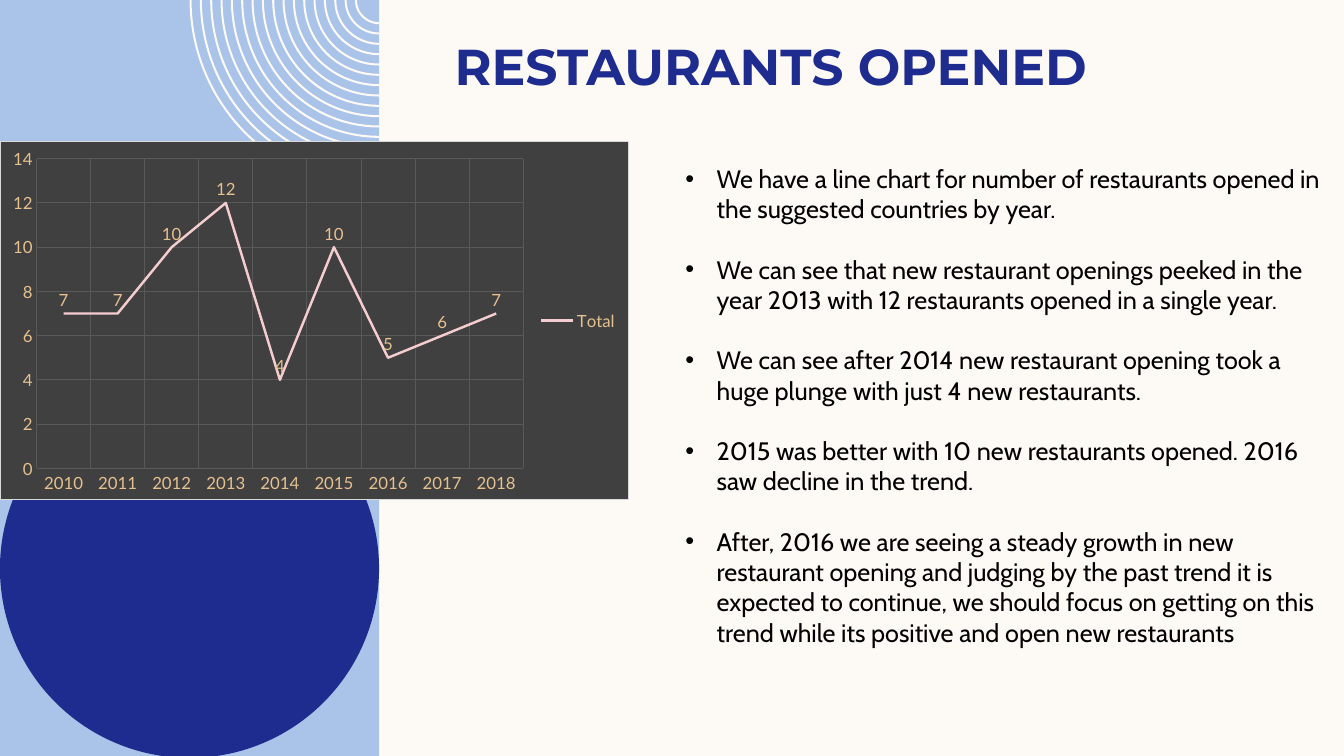
from lxml import etree
from pptx import Presentation
from pptx.chart.data import CategoryChartData
from pptx.dml.color import RGBColor
from pptx.enum.chart import XL_CHART_TYPE, XL_LABEL_POSITION, XL_LEGEND_POSITION, XL_MARKER_STYLE, XL_TICK_MARK
from pptx.enum.shapes import MSO_SHAPE
from pptx.enum.text import MSO_ANCHOR
from pptx.oxml import parse_xml
from pptx.oxml.ns import nsdecls, qn
from pptx.util import Inches, Pt

CREAM = RGBColor(0xFD, 0xFA, 0xF6)
SKY = RGBColor(0xAA, 0xC3, 0xE8)
NAVY = RGBColor(0x1F, 0x2C, 0x8F)
BLACK = RGBColor(0, 0, 0)
CHARCOAL = RGBColor(0x40, 0x40, 0x40)
GRID_GREY = RGBColor(0x59, 0x59, 0x59)
BORDER_GREY = RGBColor(0xD9, 0xD9, 0xD9)
SAND = RGBColor(0xE6, 0xC1, 0x90)
PINK = RGBColor(0xF5, 0xCD, 0xCE)

TITLE_FONT = {"name": "Montserrat", "size": Pt(36), "bold": True}
BODY_FONT = {"name": "Cabin", "size": Pt(18)}
CHART_FONT = {"name": "Lato", "size": Pt(12)}
DEGREE = 60000

OPENINGS = {"2010": 7, "2011": 7, "2012": 10, "2013": 12, "2014": 4,
            "2015": 10, "2016": 5, "2017": 6, "2018": 7}
FINDINGS = [
    "We have a line chart for number of restaurants opened in the suggested countries by year.",
    "We can see that new restaurant openings peeked in the year 2013 with 12 restaurants opened in a single year.",
    "We can see after 2014 new restaurant opening took a huge plunge with just 4 new restaurants.",
    "2015 was better with 10 new restaurants opened. 2016 saw decline in the trend.",
    "After, 2016 we are seeing a steady growth in new restaurant opening and judging by the past trend it is "
    "expected to continue, we should focus on getting on this trend while its positive and open new restaurants",
]


def style_font(font, values, color):
    """Apply format values and a colour to a font."""
    for attribute, value in values.items():
        setattr(font, attribute, value)
    font.color.rgb = color


def paint(shape, color):
    """Give a shape a flat fill without line or shadow."""
    shape.shadow.inherit = False
    shape.fill.solid()
    shape.fill.fore_color.rgb = color
    shape.line.fill.background()


def bend(segment, radius, start, sweep):
    """Turn a straight outline segment into a circular arc."""
    arc = etree.Element(qn("a:arcTo"), wR=str(Inches(radius)), hR=str(Inches(radius)),
                        stAng=str(start * DEGREE), swAng=str(sweep * DEGREE))
    segment.getparent().replace(segment, arc)


def add_rings(slide, center_x, center_y, radius, count=17, gap=0.1025, thickness=0.02):
    """Draw concentric quarter rings as one outline."""
    radii = [radius - index * gap for index in range(count)]
    builder = slide.shapes.build_freeform(Inches(center_x - radius), Inches(center_y))
    for outer in radii:
        inner = outer - thickness
        builder.move_to(Inches(center_x - outer), Inches(center_y))
        builder.add_line_segments([
            (Inches(center_x), Inches(center_y + outer)),
            (Inches(center_x), Inches(center_y + inner)),
            (Inches(center_x - inner), Inches(center_y))], close=True)
    rings = builder.convert_to_shape()
    paint(rings, CREAM)
    segments = list(rings._element.iter(qn("a:lnTo")))
    for outer, outer_edge, inner_edge in zip(radii, segments[::3], segments[2::3]):
        bend(outer_edge, outer, 180, -90)
        bend(inner_edge, outer - thickness, 90, 90)


def add_side_panel(slide, left, top, width, height):
    """Draw the blue panel with its rings and large circle."""
    panel = slide.shapes.add_shape(MSO_SHAPE.RECTANGLE, Inches(left), Inches(top), Inches(width), Inches(height))
    paint(panel, SKY)
    add_rings(slide, left + width, top, width / 2)
    disc = slide.shapes.add_shape(MSO_SHAPE.OVAL, Inches(left), Inches(top + width),
                                  Inches(width), Inches(width))
    paint(disc, NAVY)


def add_title(slide, left, top, width, height):
    """Place the slide title."""
    title = slide.shapes.add_textbox(Inches(left), Inches(top), Inches(width), Inches(height))
    frame = title.text_frame
    frame.word_wrap = True
    frame.vertical_anchor = MSO_ANCHOR.BOTTOM
    frame.margin_top = frame.margin_bottom = 0
    run = frame.paragraphs[0].add_run()
    run.text = "RESTAURANTS OPENED"
    style_font(run.font, TITLE_FONT, NAVY)


def style_axis(axis):
    """Show an axis as labels and gridlines only."""
    axis.major_tick_mark = axis.minor_tick_mark = XL_TICK_MARK.NONE
    axis.format.line.fill.background()
    axis.has_major_gridlines = True
    gridline = axis.major_gridlines.format.line
    gridline.color.rgb = GRID_GREY
    gridline.width = Pt(0.75)
    style_font(axis.tick_labels.font, CHART_FONT, SAND)


def add_openings_chart(slide, left, top, width, height):
    """Place the line chart of openings by year."""
    data = CategoryChartData()
    data.categories = list(OPENINGS)
    data.add_series("Total", list(OPENINGS.values()))
    chart = slide.shapes.add_chart(XL_CHART_TYPE.LINE, Inches(left), Inches(top),
                                   Inches(width), Inches(height), data).chart
    style_font(chart.font, CHART_FONT, SAND)
    chart.has_title = False
    chart.has_legend = True
    chart.legend.position = XL_LEGEND_POSITION.RIGHT
    chart.legend.include_in_layout = False
    style_font(chart.legend.font, CHART_FONT, SAND)
    style_axis(chart.category_axis)
    style_axis(chart.value_axis)
    for attribute, value in {"minimum_scale": 0, "maximum_scale": 14, "major_unit": 2}.items():
        setattr(chart.value_axis, attribute, value)

    plot = chart.plots[0]
    plot.vary_by_categories = False
    total = plot.series[0]
    total.smooth = False
    total.marker.style = XL_MARKER_STYLE.NONE
    total.format.line.color.rgb = PINK
    total.format.line.width = Pt(1.75)
    labels = total.data_labels
    labels.show_value = True
    labels.position = XL_LABEL_POSITION.ABOVE
    style_font(labels.font, CHART_FONT, SAND)

    background = parse_xml(
        f'<c:spPr {nsdecls("c", "a")}>'
        f'<a:solidFill><a:srgbClr val="{CHARCOAL}"/></a:solidFill>'
        f'<a:ln w="{Pt(0.75)}"><a:solidFill><a:srgbClr val="{BORDER_GREY}"/></a:solidFill></a:ln>'
        '</c:spPr>')
    chart.element.find(qn("c:chart")).addnext(background)


def add_findings(slide, left, top, width, height):
    """Place the bulleted findings."""
    findings = slide.shapes.add_textbox(Inches(left), Inches(top), Inches(width), Inches(height))
    frame = findings.text_frame
    frame.word_wrap = True
    for index, finding in enumerate(FINDINGS):
        paragraph = frame.add_paragraph() if index else frame.paragraphs[0]
        paragraph.space_before = Pt(21.6 if index else 0)
        run = paragraph.add_run()
        run.text = finding
        style_font(run.font, BODY_FONT, BLACK)
        properties = paragraph._p.get_or_add_pPr()
        properties.set("marL", str(Inches(0.31)))
        properties.set("indent", str(-Inches(0.31)))
        etree.SubElement(properties, qn("a:buFont"), typeface="Arial")
        etree.SubElement(properties, qn("a:buChar"), char="•")


def main():
    """Build the slide and save it."""
    presentation = Presentation()
    presentation.slide_width = Inches(13.33)
    presentation.slide_height = Inches(7.5)
    slide = presentation.slides.add_slide(presentation.slide_layouts[6])
    slide.background.fill.solid()
    slide.background.fill.fore_color.rgb = CREAM
    add_side_panel(slide, 0, 0, 3.76, 7.5)
    add_title(slide, 4.41, 0.16, 7.7, 0.79)
    add_openings_chart(slide, 0, 1.4, 6.24, 3.56)
    add_findings(slide, 6.7, 1.57, 6.63, 4.95)
    presentation.save("out.pptx")


if __name__ == "__main__":
    main()
